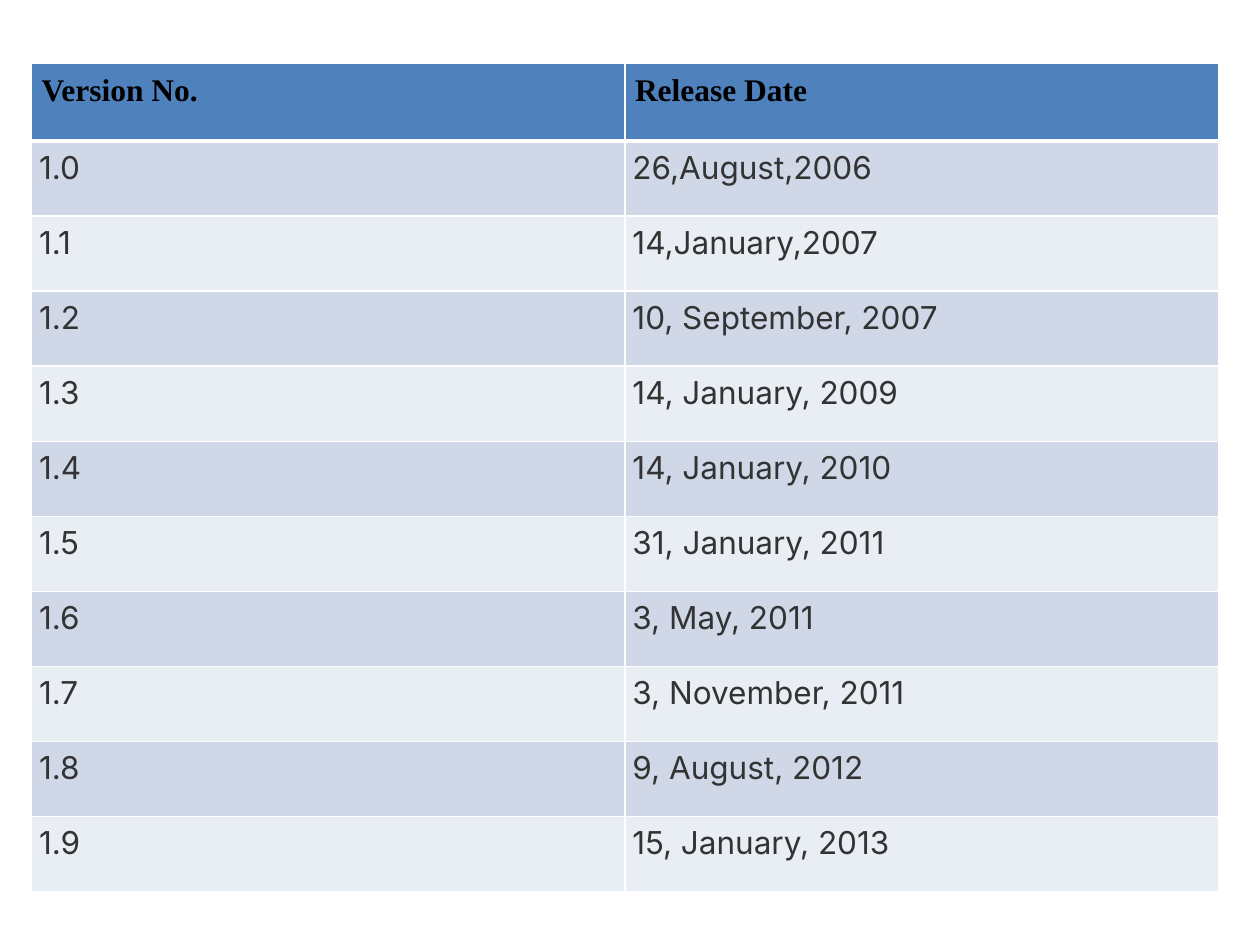
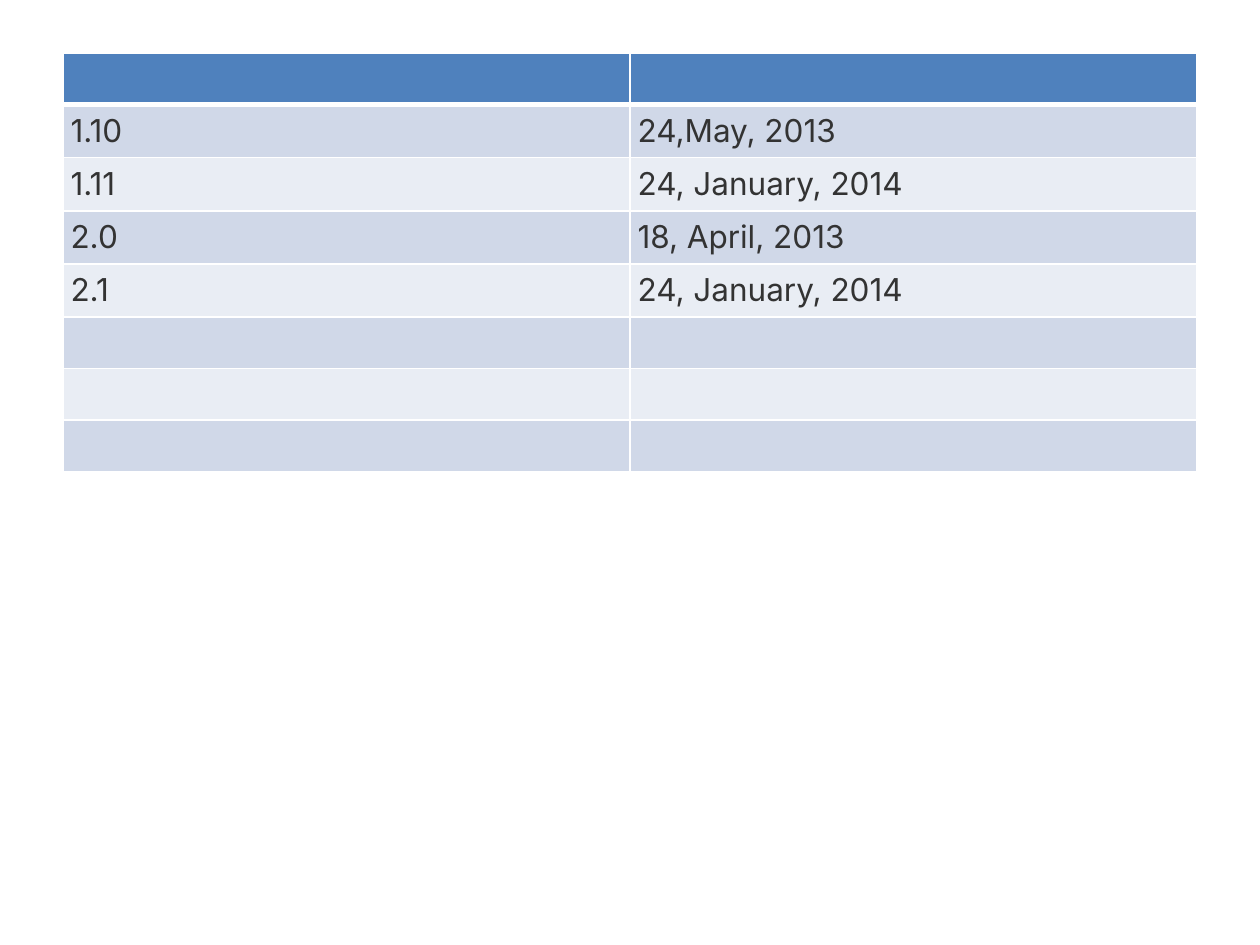
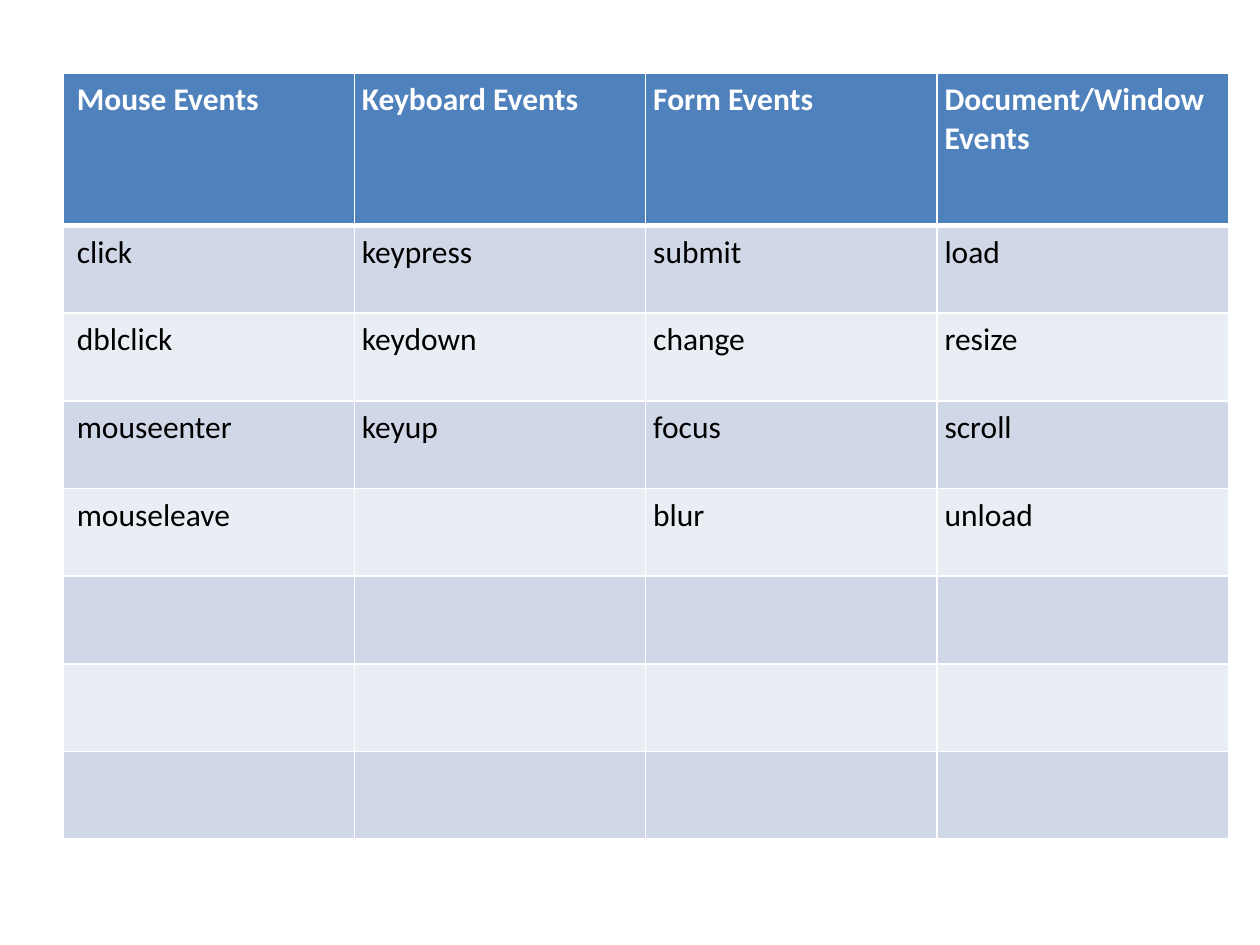
"""Build three slides of tables: release dates of a library and its events."""
from lxml import etree
from pptx import Presentation, util as u
from pptx.dml.color import RGBColor
from pptx.enum import text
from pptx.oxml.ns import qn

WHITE, BLACK, GREY = "FFFFFF", "000000", "333333"
BLUE, BANDS = "4F81BD", ("D0D8E8", "E9EDF4")
LEFT, JUST = text.PP_ALIGN.LEFT, text.PP_ALIGN.JUSTIFY


def write(cell, words, font=None, color=BLACK, bold=False, align=LEFT, pad=0.06, first=0.06):
    """Put formatted words in a cell, with the left inset given by first."""
    cell.margin_left = u.Inches(first)
    cell.margin_top = cell.margin_right = cell.margin_bottom = u.Inches(pad)
    para = cell.text_frame.paragraphs[0]
    para.alignment = align
    run = para.add_run()
    run.text = words
    run.font.name, run.font.size, run.font.bold = font, u.Pt(18), bold
    run.font.color.rgb = RGBColor.from_string(color)


def paint(cell, fill, top=1, base=1):
    """Give a cell white borders and a solid fill."""
    props = cell._tc.get_or_add_tcPr()
    for side, width in zip("LRTB", (1, 1, top, base)):
        line = etree.SubElement(props, qn(f"a:ln{side}"), w=str(u.Pt(width)))
        solid = etree.SubElement(line, qn("a:solidFill"))
        etree.SubElement(solid, qn("a:srgbClr"), val=WHITE)
    cell.fill.solid()
    cell.fill.fore_color.rgb = RGBColor.from_string(fill)


dates = dict(font="Inter", color=GREY, align=JUST)
tables = [
    dict(
        box=(0.25, 0.5, 9.42, 6.58), top=0.62, body=dates,
        head=dict(font="Times New Roman", bold=True, pad=0.08, first=0.08),
        rows=[
            ("Version No.", "Release Date"),
            ("1.0", "26,August,2006"),
            ("1.1", "14,January,2007"),
            ("1.2", "10, September, 2007"),
            ("1.3", "14, January, 2009"),
            ("1.4", "14, January, 2010"),
            ("1.5", "31, January, 2011"),
            ("1.6", "3, May, 2011"),
            ("1.7", "3, November, 2011"),
            ("1.8", "9, August, 2012"),
            ("1.9", "15, January, 2013"),
        ],
    ),
    dict(
        box=(0.5, 0.42, 9, 3.27), top=0.41, body=dates, head={},
        rows=[
            ("", ""),
            ("1.10", "24,May, 2013"),
            ("1.11", "24, January, 2014"),
            ("2.0", "18, April, 2013"),
            ("2.1", "24, January, 2014"),
        ] + [("", "")] * 3,
    ),
    dict(
        box=(0.5, 0.58, 9.25, 6.08), top=1.21, inset=0.11,
        head=dict(font="Calibri", color=WHITE, bold=True),
        body=dict(font="Calibri"),
        rows=[
            ("Mouse Events", "Keyboard Events", "Form Events", "Document/Window Events"),
            ("click", "keypress", "submit", "load"),
            ("dblclick", "keydown", "change", "resize"),
            ("mouseenter", "keyup", "focus", "scroll"),
            ("mouseleave", "", "blur", "unload"),
        ] + [("",) * 4] * 3,
    ),
]

deck = Presentation()
deck.slide_width, deck.slide_height = u.Inches(10), u.Inches(7.5)
for item in tables:
    slide = deck.slides.add_slide(deck.slide_layouts[6])
    rows, box = item["rows"], item["box"]
    grid = slide.shapes.add_table(len(rows), len(rows[0]), *map(u.Inches, box)).table
    step = (box[3] - item["top"]) / (len(rows) - 1)
    for r, row in enumerate(rows):
        grid.rows[r].height = u.Inches(step if r else item["top"])
        for c, words in enumerate(row):
            cell = grid.cell(r, c)
            paint(cell, BANDS[(r - 1) % 2] if r else BLUE,
                  top=3 if r == 1 else 1, base=1 if r else 3)
            if words:
                style = dict(item["body"] if r else item["head"])
                if c == 0 and "inset" in item:
                    style["first"] = item["inset"]
                write(cell, words, **style)

deck.save("out.pptx")
